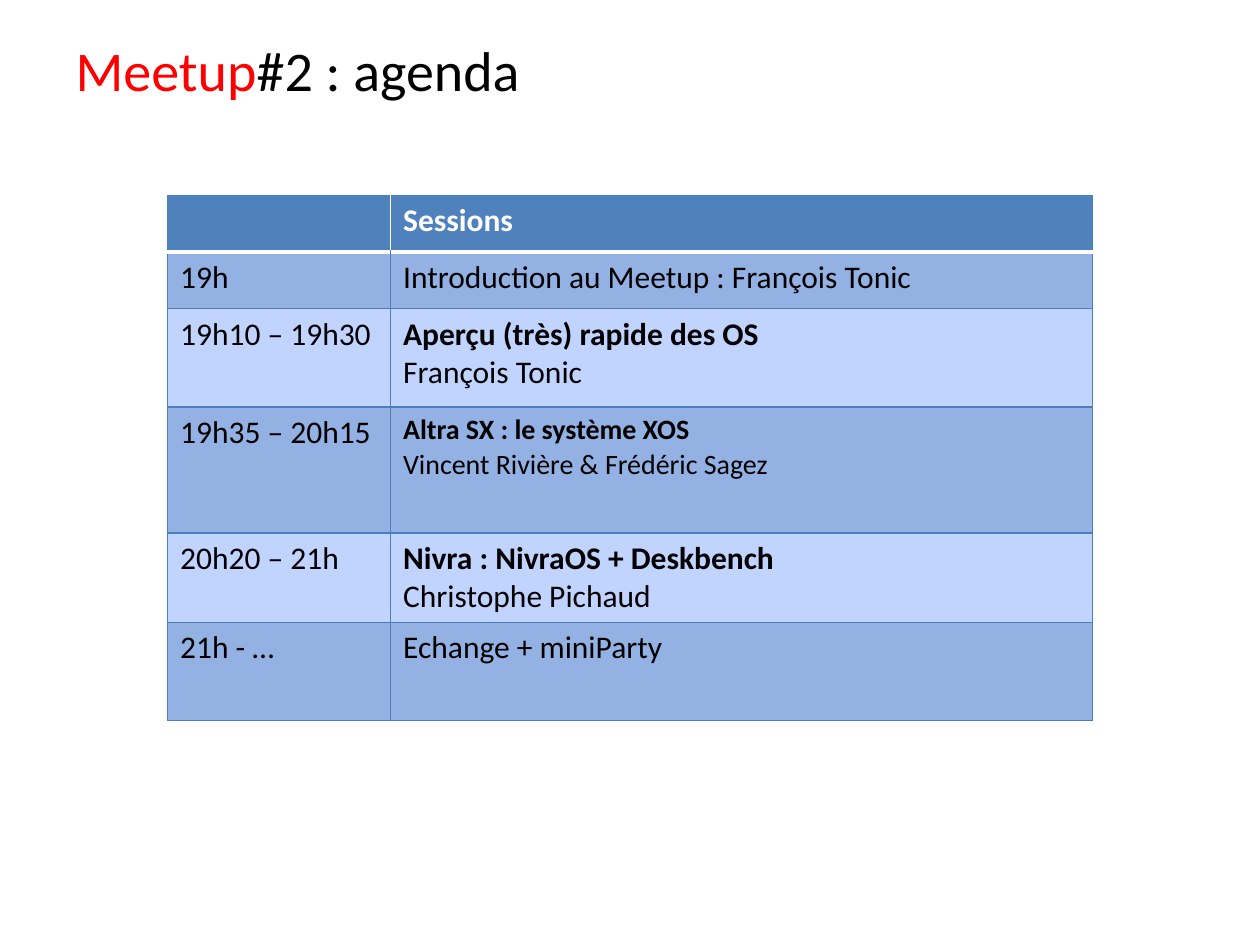
from pptx import Presentation
from pptx.dml.color import RGBColor
from pptx.enum.text import MSO_ANCHOR, PP_ALIGN
from pptx.oxml import parse_xml
from pptx.oxml.ns import nsdecls
from pptx.util import Inches, Pt

TITLE = [("Meetup", "FF0000"), ("#2 : agenda", "000000")]
COL_WIDTHS = [1.77, 5.57]
AGENDA = [
    {"height": 0.45, "time": "", "lines": [("Sessions", True)]},
    {"height": 0.45, "time": "19h",
     "lines": [("Introduction au Meetup : François Tonic", False)]},
    {"height": 0.78, "time": "19h10 – 19h30",
     "lines": [("Aperçu (très) rapide des OS", True), ("François Tonic", False)]},
    {"height": 1, "time": "19h35 – 20h15", "size": 16,
     "lines": [("Altra SX : le système XOS", True),
               ("Vincent Rivière & Frédéric Sagez", False)]},
    {"height": 0.71, "time": "20h20 – 21h",
     "lines": [("Nivra : NivraOS + Deskbench", True), ("Christophe Pichaud", False)]},
    {"height": 0.78, "time": "21h - …", "lines": [("Echange + miniParty", False)]},
]
HEADER, BANDS = "4F81BD", ["C0D4FF", "93B1E3"]
GRID, RULE = ("4B7EBC", 0.75), ("FFFFFF", 2)


def rgb(value):
    """Return the colour for a hex string."""
    return RGBColor.from_string(value)


def add_run(p, text, color, size, bold=False):
    """Add a formatted run to a paragraph."""
    r = p.add_run()
    r.text = text
    r.font.color.rgb = rgb(color)
    for name, value in {"name": "Calibri", "size": Pt(size), "bold": bold}.items():
        setattr(r.font, name, value)


def set_borders(cell, borders):
    """Draw the cell edges given as a dict of side to colour and width."""
    tc_pr = cell._tc.get_or_add_tcPr()
    for side in "LRTB":
        if side in borders:
            color, width = borders[side]
            tc_pr.append(parse_xml(
                f'<a:ln{side} {nsdecls("a")} w="{Pt(width)}"><a:solidFill>'
                f'<a:srgbClr val="{color}"/></a:solidFill></a:ln{side}>'))


def fill_cell(cell, lines, size, row, col):
    """Write one agenda cell with its fill and edges."""
    header = row == 0
    borders = dict.fromkeys("LRTB", GRID)
    if header:
        borders["B"] = RULE
        del borders["L" if col else "R"]
    elif row == 1:
        borders["T"] = RULE
    set_borders(cell, borders)
    cell.fill.solid()
    cell.fill.fore_color.rgb = rgb(HEADER if header else BANDS[row % 2])
    tf = cell.text_frame
    for i, (text, bold) in enumerate(lines):
        p = tf.add_paragraph() if i else tf.paragraphs[0]
        add_run(p, text, "FFFFFF" if header else "000000", size, bold)


def main():
    """Build the agenda slide."""
    prs = Presentation()
    prs.slide_width, prs.slide_height = Inches(10), Inches(7.5)
    s = prs.slides.add_slide(prs.slide_layouts[5])

    title = s.shapes.title
    box = {"left": 0.5, "top": 0.23, "width": 9, "height": 6.8}
    for name, value in box.items():
        setattr(title, name, Inches(value))
    tf = title.text_frame
    tf.vertical_anchor = MSO_ANCHOR.TOP
    p = tf.paragraphs[0]
    p.alignment = PP_ALIGN.LEFT
    for text, color in TITLE:
        add_run(p, text, color, 32)

    total = sum(row["height"] for row in AGENDA)
    table = s.shapes.add_table(
        len(AGENDA), len(COL_WIDTHS), Inches(1.33), Inches(1.55),
        Inches(sum(COL_WIDTHS)), Inches(total)).table
    for column, width in zip(table.columns, COL_WIDTHS):
        column.width = Inches(width)
    for i, row in enumerate(AGENDA):
        table.rows[i].height = Inches(row["height"])
        times = [(row["time"], False)] if row["time"] else []
        fill_cell(table.cell(i, 0), times, 18, i, 0)
        fill_cell(table.cell(i, 1), row["lines"], row.get("size", 18), i, 1)

    prs.save("out.pptx")


if __name__ == "__main__":
    main()
